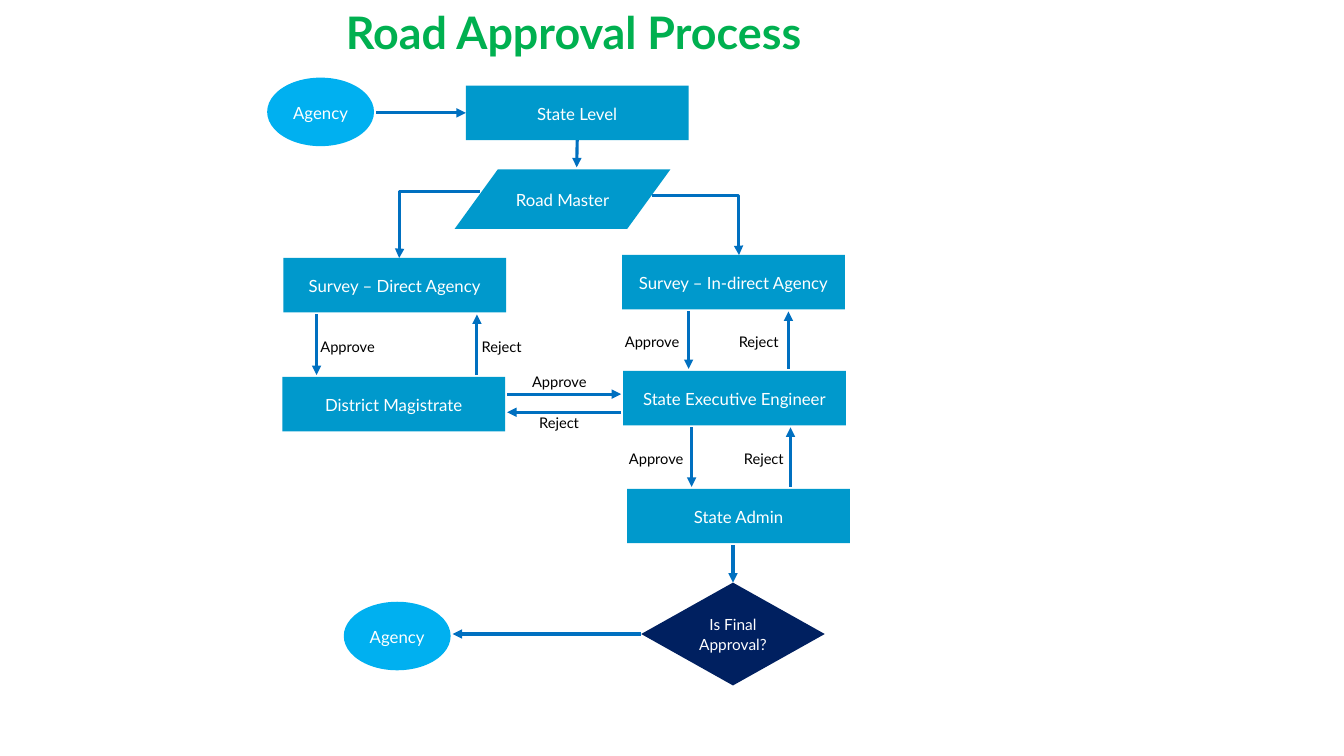
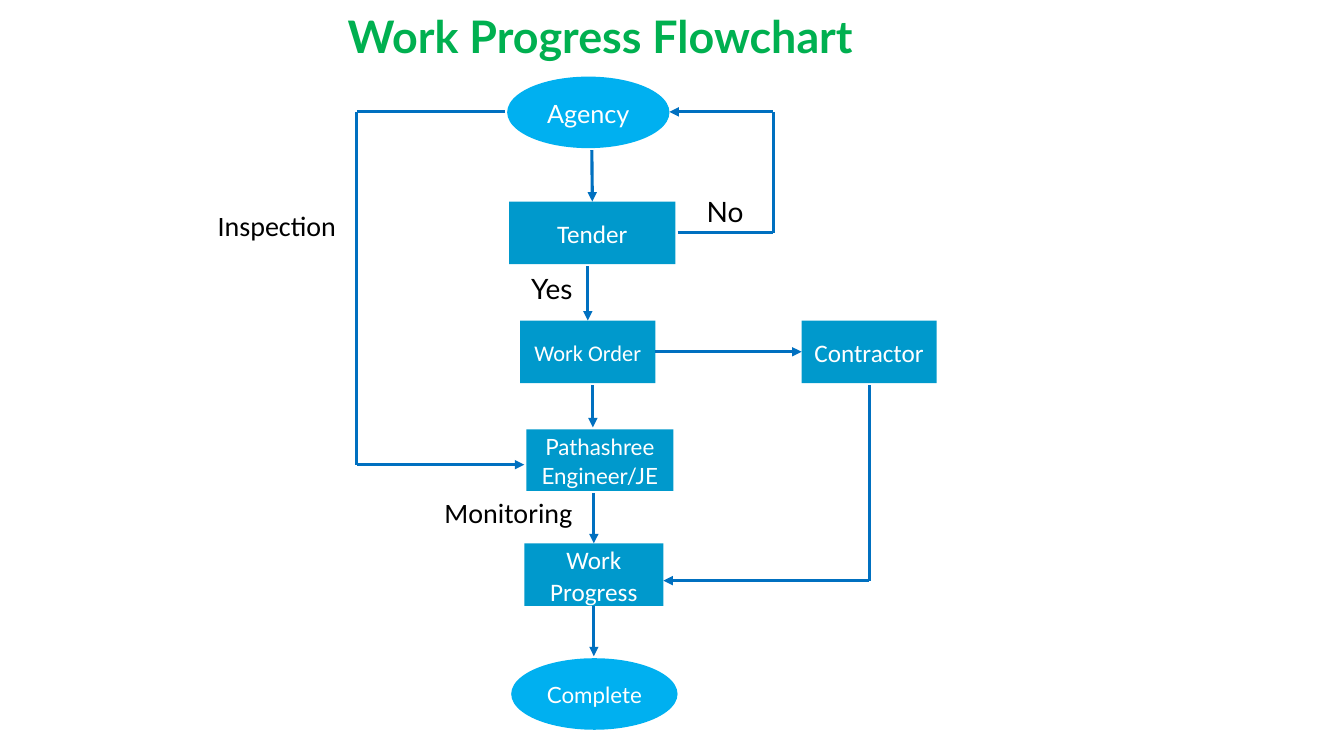
import pptx
import pptx.util
import pptx.dml.color
import pptx.enum.shapes
import pptx.enum.text
import pptx.oxml.ns

PX = 9144  # 100 px to the inch
GAP = 2  # between a box and a line that is not joined to it
Pt = pptx.util.Pt
RGB = pptx.dml.color.RGBColor.from_string
SHAPE = pptx.enum.shapes.MSO_SHAPE
CONNECTOR = pptx.enum.shapes.MSO_CONNECTOR
ALIGN = pptx.enum.text.PP_ALIGN
ANCHOR = pptx.enum.text.MSO_ANCHOR
qn = pptx.oxml.ns.qn
TOP, LEFT, BOTTOM, RIGHT = range(4)
COLORS = {
    "title": "00B050", "process": "0099CC", "agency": "00B0F0",
    "decision": "002060", "line": "0070C0", "label": "000000", "white": "FFFFFF",
}
# preset, fill, width, height, text size, font
KINDS = {
    "agency": (SHAPE.OVAL, "agency", 106, 68, 12, "Lato"),
    "step": (SHAPE.RECTANGLE, "process", 221, 54, 12, "Lato"),
    "data": (SHAPE.FLOWCHART_DATA, "process", 214, 59, 12, "Lato"),
    "decision": (SHAPE.FLOWCHART_DECISION, "decision", 182, 102, 11, "Lato"),
    "terminal": (SHAPE.OVAL, "agency", 165, 71, 16, "Lato"),
    "task": (SHAPE.RECTANGLE, "process", 134, 62, 18, "Calibri"),
    "person": (SHAPE.RECTANGLE, "process", 146, 61, 16, "Lato"),
}
JOINABLE = (SHAPE.RECTANGLE, SHAPE.FLOWCHART_DECISION)

# boxes: name, kind, text, left, top, then width and size where they are special
# flows: from, to, line position (None: middle of the target), label, label left
# elbows: start, target, line position
# routes: from, to, x of the upright part, y of the arrow
# labels: text, left, top, font
SLIDES = [
    {
        "title": ("Road Approval Process", 219, 0, 700),
        "label_style": (10.5, 12),  # size, rise above the middle of a flow
        "boxes": [
            ("start", "agency", "Agency", 265, 77),
            ("state", "step", "State Level", 462, 85),
            ("master", "data", "Road Master", 451, 168),
            ("direct", "step", "Survey – Direct Agency", 281, 256),
            ("indirect", "step", "Survey – In-direct Agency", 617, 253),
            ("district", "step", "District Magistrate", 280, 374),
            ("engineer", "step", "State Executive Engineer", 618, 368),
            ("admin", "step", "State Admin", 622, 485),
            ("final", "decision", "Is Final Approval?", 636, 578),
            ("end", "agency", "Agency", 341, 597),
        ],
        "flows": [
            ("start", "state", None, "", 0),
            ("state", "master", 572, "", 0),
            ("direct", "district", 314, "Approve", 308),
            ("district", "direct", 473, "Reject", 468),
            ("indirect", "engineer", 683, "Approve", 610),
            ("engineer", "indirect", 782, "Reject", 723),
            ("district", "engineer", 391, "", 0),
            ("engineer", "district", 409, "", 0),
            ("engineer", "admin", 686, "Approve", 614),
            ("admin", "engineer", 784, "Reject", 728),
            ("admin", "final", None, "", 0),
            ("final", "end", 629, "", 0),
        ],
        "elbows": [((476, 190), "direct", 396), ((647, 194), "indirect", 733)],
        "routes": [],
        "labels": [("Approve", 518, 365, "Lato"), ("Reject", 525, 406, "Lato")],
    },
    {
        "title": ("Work Progress Flowchart", 321, 4, 549),
        "label_style": (20, 27),
        "boxes": [
            ("agency", "terminal", "Agency", 503, 76, 161, 18),
            ("tender", "task", "Tender", 505, 200, 165, 18),
            ("order", "task", "Work Order", 516, 318, 134, 16),
            ("contractor", "task", "Contractor", 795, 318),
            ("engineer", "person", "Pathashree Engineer/JE", 522, 426),
            ("progress", "task", "Work Progress", 520, 539, 138, 18),
            ("complete", "terminal", "Complete", 507, 653),
        ],
        "flows": [
            ("agency", "tender", None, "", 0),
            ("tender", "order", None, "Yes", 517),
            ("order", "engineer", 588, "", 0),
            ("engineer", "progress", None, "Monitoring", 431),
            ("progress", "complete", None, "", 0),
            ("order", "contractor", None, "", 0),
        ],
        "elbows": [],
        "routes": [
            ("agency", "engineer", 354, 461),
            ("tender", "agency", 767, 111),
            ("contractor", "progress", 862, 576),
        ],
        "labels": [("No", 691, 188, "Lato"), ("Inspection", 206, 202, "Calibri")],
    },
]


def write(sp, text, size, font, color, align):
    """Fill a shape with one formatted paragraph and return it."""
    tf = sp.text_frame
    tf.word_wrap = True
    p = tf.paragraphs[0]
    p.text = text
    p.alignment = align
    p.font.size = Pt(size)
    p.font.name = font
    p.font.color.rgb = RGB(COLORS[color])
    return p


def connect(shapes, kind, start, end, arrow=True):
    """Draw a flow line, with an arrowhead at its end if wanted."""
    c = shapes.add_connector(kind, *(v * PX for v in (*start, *end)))
    c.line.width = Pt(2.25)
    c.line.color.rgb = RGB(COLORS["line"])
    sp_pr = c.element.spPr
    if arrow:
        ln = sp_pr.find(qn("a:ln"))
        ln.append(ln.makeelement(qn("a:tailEnd"), {"type": "triangle"}))
    sp_pr.append(sp_pr.makeelement(qn("a:effectLst"), {}))
    return c


prs = pptx.Presentation()
prs.slide_width, prs.slide_height = 1333 * PX, 750 * PX

for content in SLIDES:
    shapes = prs.slides.add_slide(prs.slide_layouts[5]).shapes
    label_size, label_rise = content["label_style"]
    labels = list(content["labels"])

    text, left, top, width = content["title"]
    title = shapes.title
    title.left, title.top, title.width, title.height = (v * PX for v in (left, top, width, 64))
    p = write(title, text, 32, "Lato", "title", ALIGN.CENTER)
    p.font.bold = True
    title.text_frame.vertical_anchor = ANCHOR.TOP
    title.text_frame.auto_size = pptx.enum.text.MSO_AUTO_SIZE.NONE

    boxes, edges, fonts = {}, {}, {}
    for name, kind, text, left, top, *special in content["boxes"]:
        preset, fill, width, height, size, font = KINDS[kind]
        width, size = special or (width, size)
        sp = shapes.add_shape(preset, *(v * PX for v in (left, top, width, height)))
        sp.shadow.inherit = False
        sp.fill.solid()
        sp.fill.fore_color.rgb = RGB(COLORS[fill])
        sp.line.fill.background()
        sp.text_frame.vertical_anchor = ANCHOR.MIDDLE
        p = write(sp, text, size, font, "white", ALIGN.CENTER)
        p.line_spacing = 1.07
        p.space_after = Pt(8)
        boxes[name] = sp
        edges[name] = (top, left, top + height, left + width)
        fonts[name] = font

    for source, target, position, text, label_left in content["flows"]:
        a, b = edges[source], edges[target]
        if a[BOTTOM] <= b[TOP]:
            sides = (BOTTOM, TOP)
        elif b[BOTTOM] <= a[TOP]:
            sides = (TOP, BOTTOM)
        else:
            sides = (RIGHT, LEFT) if a[RIGHT] <= b[LEFT] else (LEFT, RIGHT)
        upright = sides[0] in (TOP, BOTTOM)
        low, high = (LEFT, RIGHT) if upright else (TOP, BOTTOM)
        if position is None:
            position = (b[low] + b[high]) // 2

        ends, joins = [], []
        for name, side in zip((source, target), sides):
            edge = edges[name]
            centred = (edge[low] + edge[high]) // 2 == position
            joined = centred and boxes[name].auto_shape_type in JOINABLE
            outward = -1 if side in (TOP, LEFT) else 1
            along = edge[side] + (0 if joined else GAP * outward)
            ends.append((position, along) if upright else (along, position))
            joins.append(joined)
        c = connect(shapes, CONNECTOR.STRAIGHT, *ends)
        if joins[0]:
            c.begin_connect(boxes[source], sides[0])
        if joins[1]:
            c.end_connect(boxes[target], sides[1])
        if text:
            middle = (ends[0][1] + ends[1][1]) // 2
            font = "Calibri" if text == "Monitoring" else "Lato"
            labels.append((text, label_left, middle - label_rise, font))

    for start, target, x in content["elbows"]:
        c = connect(shapes, CONNECTOR.ELBOW, start, (x, edges[target][TOP]))
        guides = c.element.spPr.find(qn("a:prstGeom")).get_or_add_avLst()
        guides.append(guides.makeelement(qn("a:gd"), {"name": "adj1", "fmla": "val 99500"}))

    for source, target, x, y in content["routes"]:
        a, b = edges[source], edges[target]
        if a[LEFT] < x < a[RIGHT]:
            points = [(x, a[BOTTOM] + GAP)]
        else:
            middle = (a[TOP] + a[BOTTOM]) // 2
            start = a[LEFT] - GAP if x < a[LEFT] else a[RIGHT] + GAP
            points = [(start, middle), (x, middle)]
        points += [(x, y), (b[LEFT] - GAP if x < b[LEFT] else b[RIGHT], y)]
        for start, end in zip(points, points[1:]):
            connect(shapes, CONNECTOR.STRAIGHT, start, end, end == points[-1])

    for text, left, top, font in labels:
        sp = shapes.add_textbox(*(v * PX for v in (left, top, 180, label_size * 2)))
        sp.left, sp.height = left * PX, int(label_size * 2) * PX
        write(sp, text, label_size, font, "label", ALIGN.LEFT)

prs.save("out.pptx")
